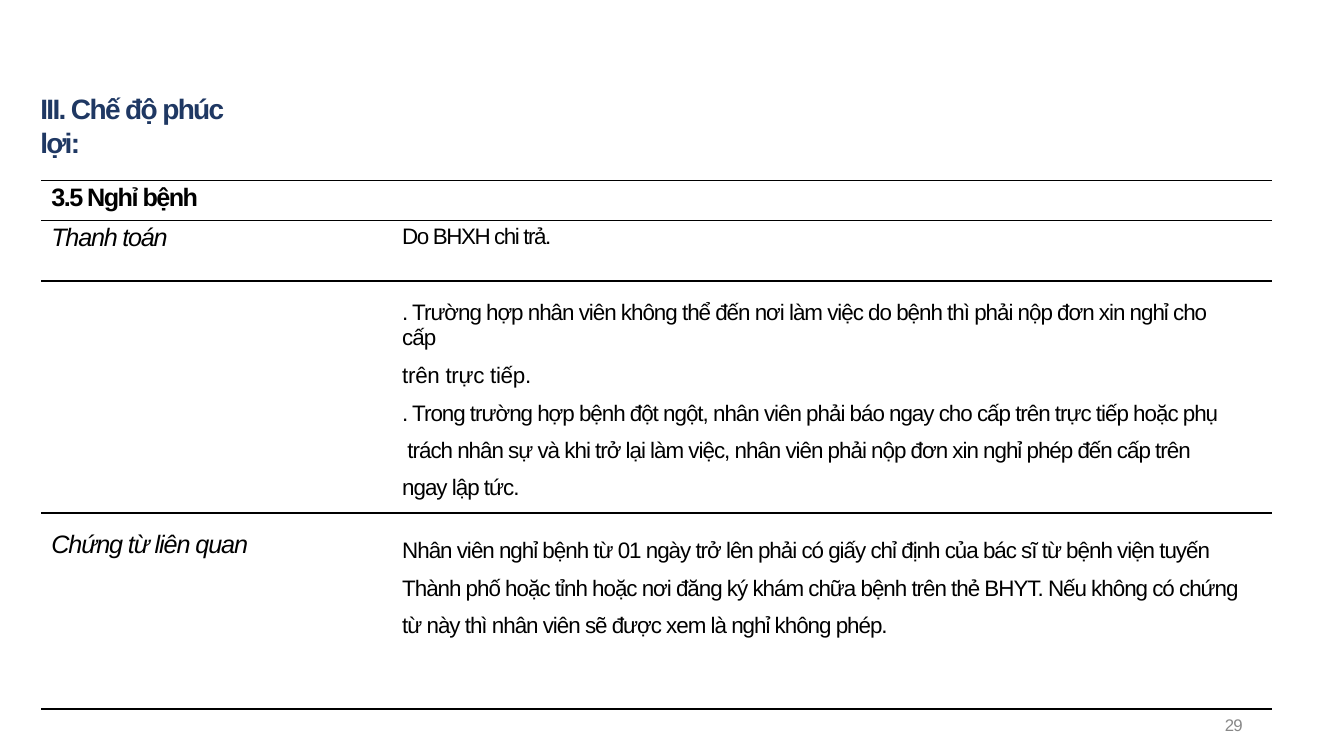
from typing import NamedTuple
from lxml import etree
from pptx import Presentation
from pptx import util as u
from pptx.dml.color import RGBColor
from pptx.enum import shapes, text
from pptx.oxml import ns

BLACK = "000000"
LEFT, WIDE = 0.41, 12.21


class Para(NamedTuple):
    words: str
    size: float = 16
    gap: float = -0.7
    before: float = 0
    lines: float = 1
    bold: bool = False
    slant: bool = False
    color: str = BLACK


class Cell(NamedTuple):
    paras: tuple[Para, ...] = ()
    top: float = 0
    left: float = 0


class Row(NamedTuple):
    high: float
    cells: tuple[Cell, Cell]
    over: float = 0
    under: float = 0


def paint(code: str) -> RGBColor:
    return RGBColor.from_string(code)


def write(frame, paras: tuple[Para, ...]) -> None:
    for at, item in enumerate(paras):
        para = frame.paragraphs[0] if at == 0 else frame.add_paragraph()
        style(para, **item._asdict())


def style(para, words: str, size: float, gap: float, before: float,
          lines: float, bold: bool, slant: bool, color: str) -> None:
    para.text = words
    para.alignment = text.PP_ALIGN.LEFT
    para.space_before = u.Pt(before)
    para.line_spacing = lines
    for run in para.runs:
        font = run.font
        font.name, font.size = "Arial", u.Pt(size)
        font.bold, font.italic = bold, slant
        font.color.rgb = paint(color)
        run._r.get_or_add_rPr().set("spc", str(round(gap * 100)))
    for stop in para._p.findall(ns.qn("a:br")):
        etree.SubElement(stop, ns.qn("a:rPr"), sz=str(round(size * 100)))


def inset(box, top: float, left: float = 0) -> None:
    box.margin_left, box.margin_top = u.Inches(left), u.Inches(top)
    box.margin_right = box.margin_bottom = u.Inches(0)


def place(shape, left: float, top: float, width: float, height: float) -> None:
    shape.left, shape.top = u.Inches(left), u.Inches(top)
    shape.width, shape.height = u.Inches(width), u.Inches(height)


def edge(cell, side: str, width: float) -> None:
    line = etree.SubElement(cell._tc.get_or_add_tcPr(), ns.qn(f"a:ln{side}"),
                            w=str(u.Pt(width)))
    fill = etree.SubElement(line, ns.qn("a:solidFill"))
    etree.SubElement(fill, ns.qn("a:srgbClr"), val=BLACK)


def label(words: str, top: float, **form) -> Cell:
    return Cell((Para(words, size=18, **form),), top, 0.1)


def body(top: float, *paras: Para) -> Cell:
    return Cell(paras, top, 0.77)


ROWS = (
    Row(0.4, (label("3.5 Nghỉ bệnh", 0.03, gap=-1.1, before=2.4, bold=True),
              Cell()), over=1, under=1),
    Row(0.6, (label("Thanh toán", 0.03, gap=-0.9, before=2.5, slant=True),
              body(0.04, Para("Do BHXH chi trả.", gap=-1, before=2.6))),
        over=1, under=1.5),
    Row(2.3, (Cell(), body(
        0.19,
        Para(". Trường hợp nhân viên không thể đến nơi làm việc do bệnh thì "
             "phải nộp đơn xin nghỉ cho\vcấp", before=14),
        Para("trên trực tiếp.", gap=-0.2, before=9.6),
        Para(". Trong trường hợp bệnh đột ngột, nhân viên phải báo ngay cho "
             "cấp trên trực tiếp hoặc phụ\v trách nhân sự và khi trở lại làm "
             "việc, nhân viên phải nộp đơn xin nghỉ phép đến cấp trên\v"
             "ngay lập tức.", lines=1.5, before=0.1))), over=1.5),
    Row(1.34, (label("Chứng từ liên quan", 0.17, gap=-0.8, before=12.1,
                     slant=True),
               body(0.13, Para(
                   "Nhân viên nghỉ bệnh từ 01 ngày trở lên phải có giấy chỉ "
                   "định của bác sĩ từ bệnh viện tuyến\vThành phố hoặc tỉnh "
                   "hoặc nơi đăng ký khám chữa bệnh trên thẻ BHYT. Nếu không "
                   "có chứng\vtừ này thì nhân viên sẽ được xem là nghỉ không "
                   "phép.", lines=1.5, before=9.2)))),
)

deck = Presentation()
deck.slide_width, deck.slide_height = u.Inches(13.33), u.Inches(7.5)
slide = deck.slides.add_slide(deck.slide_layouts[5])

title = slide.shapes.title
place(title, 0.39, 0.9, 2.2, 0.72)
frame = title.text_frame
frame.auto_size, frame.word_wrap = text.MSO_AUTO_SIZE.NONE, True
frame.vertical_anchor = text.MSO_ANCHOR.TOP
inset(frame, 0.01, 0.01)
write(frame, (Para("III. Chế độ phúc lợi:", size=20, gap=-1.2, before=1.1,
                   bold=True, color="1F3863"),))

rule = slide.shapes.add_connector(
    shapes.MSO_CONNECTOR.STRAIGHT, u.Inches(LEFT), u.Inches(7.03),
    u.Inches(LEFT + WIDE), u.Inches(7.03))
rule.line.color.rgb, rule.line.width = paint(BLACK), u.Pt(1.5)
etree.SubElement(rule._element.spPr, ns.qn("a:effectLst"))

grid = slide.shapes.add_table(
    len(ROWS), 2, u.Inches(LEFT), u.Inches(1.79), u.Inches(WIDE),
    u.Inches(sum(row.high for row in ROWS))).table
grid.first_row = grid.horz_banding = False
grid._tbl.tblPr.find(ns.qn("a:tableStyleId")).text = (
    "{2D5ABB26-0587-4C30-8999-92F81FD0307C}")
for col, width in zip(grid.columns, (2.81, 9.4)):
    col.width = u.Inches(width)
for line, row in zip(grid.rows, ROWS):
    line.height = u.Inches(row.high)
    for cell, item in zip(line.cells, row.cells):
        inset(cell, item.top, item.left)
        write(cell.text_frame, item.paras)
        for side, width in (("T", row.over), ("B", row.under)):
            if width:
                edge(cell, side, width)
        cell.fill.background()

page = slide.shapes.add_textbox(u.Inches(12.12), u.Inches(7.07),
                                u.Inches(0.23), u.Inches(0.25))
page.text_frame.word_wrap = True
inset(page.text_frame, 0.02, 0.03)
write(page.text_frame, (Para("29", size=12, gap=-0.6, before=1.6,
                             color="888888"),))

deck.save("out.pptx")
